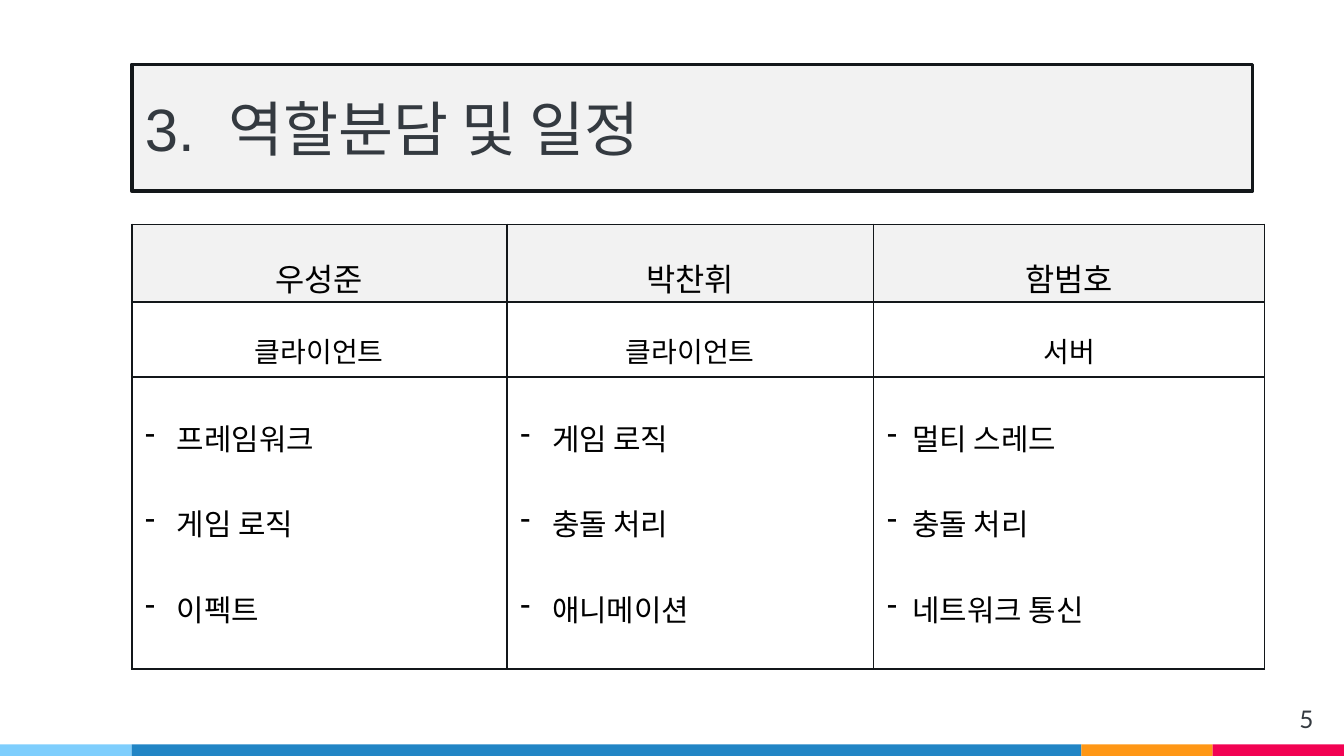
from lxml import etree
from pptx import Presentation
from pptx import util as u
from pptx.dml.color import RGBColor
from pptx.enum import shapes, text
from pptx.oxml.ns import qn

INK, EDGE, PALE = "343A40", "13171A", "F2F2F2"
LEFT = 2.49

# Heading, role, tasks and hanging indent of each member's column
TEAM = [
    ("우성준", "클라이언트", ["프레임워크", "게임 로직", "이펙트"], 0.6),
    ("박찬휘", "클라이언트", ["게임 로직", "충돌 처리", "애니메이션"], 0.6),
    ("함범호", "서버", ["멀티 스레드", "충돌 처리", "네트워크 통신"], 0.48),
]


def color(code):
    return RGBColor.from_string(code)


def paint(item, code):
    item.fill.solid()
    item.fill.fore_color.rgb = color(code)


def style(par, size, code="000000", name="Arial"):
    par.font.size = u.Pt(size)
    par.font.name = name
    par.font.color.rgb = color(code)


def place(shape, left, top, width, height):
    shape.left, shape.top = u.Cm(left), u.Cm(top)
    shape.width, shape.height = u.Cm(width), u.Cm(height)


def inset(frame, gap=0.25):
    frame.margin_left = frame.margin_right = u.Cm(gap)
    frame.margin_top = frame.margin_bottom = u.Cm(gap)
    frame.word_wrap = True


def add_title(slide):
    title = slide.shapes.title
    place(title, LEFT, 1.22, 21.18, 2.39)
    paint(title, PALE)
    title.line.color.rgb = color(EDGE)
    title.line.width = u.Pt(2)
    frame = title.text_frame
    inset(frame)
    frame.auto_size = text.MSO_AUTO_SIZE.NONE
    frame.vertical_anchor = text.MSO_ANCHOR.MIDDLE
    par = frame.paragraphs[0]
    par.alignment = text.PP_ALIGN.LEFT
    style(par, 32, INK)
    for part in ("3.", " ", "역할분담 및 일정"):
        run = par.add_run()
        run.text = part
        if part == " ":  # widen the gap after the number
            run.font._element.set("spc", "900")


def add_bars(slide):
    left = 0
    for width, code in ((LEFT, "7ECEFD"), (17.95, "2185C5"),
                        (2.48, "FF9715"), (2.48, "F20253")):
        bar = slide.shapes.add_shape(
            shapes.MSO_SHAPE.RECTANGLE,
            u.Cm(left), u.Cm(14.07), u.Cm(width), u.Cm(0.22))
        bar.shadow.inherit = False
        bar.line.fill.background()
        paint(bar, code)
        left += width


def add_number(slide):
    box = slide.shapes.add_textbox(
        u.Cm(23.55), u.Cm(13.06), u.Cm(1.52), u.Cm(0.86))
    inset(box.text_frame)
    par = box.text_frame.paragraphs[0]
    par.text = "5"
    par.alignment = text.PP_ALIGN.RIGHT
    style(par, 13, INK, "Lato")


def border(cell):
    props = cell._tc.get_or_add_tcPr()
    for spot, side in enumerate(("a:lnL", "a:lnR", "a:lnT", "a:lnB")):
        line = etree.Element(qn(side), w=str(u.Pt(1)))
        fill = etree.SubElement(line, qn("a:solidFill"))
        etree.SubElement(fill, qn("a:srgbClr"), val=EDGE)
        props.insert(spot, line)


def add_dash(par, hang):
    props = par._p.get_or_add_pPr()
    props.set("marL", str(u.Cm(hang)))
    props.set("indent", str(-u.Cm(hang)))
    tint = etree.SubElement(props, qn("a:buClr"))
    etree.SubElement(tint, qn("a:srgbClr"), val="000000")
    etree.SubElement(props, qn("a:buChar"), char="-")


def fill_label(cell, label, size):
    par = cell.text_frame.paragraphs[0]
    par.text = label
    par.alignment = text.PP_ALIGN.CENTER
    par.line_spacing = 1.5
    style(par, size)


def fill_tasks(cell, tasks, hang):
    frame = cell.text_frame
    for pos, task in enumerate(tasks):
        par = frame.add_paragraph() if pos else frame.paragraphs[0]
        par.text = task
        par.space_before = u.Pt(23 if pos else 0)
        add_dash(par, hang)
        style(par, 16)


def add_roles(slide):
    widths, heights = (7.09, 6.93, 7.39), (1.47, 1.42, 5.51)
    table = slide.shapes.add_table(
        3, 3, u.Cm(LEFT), u.Cm(4.24),
        u.Cm(sum(widths)), u.Cm(sum(heights))).table
    for col, width in zip(table.columns, widths):
        col.width = u.Cm(width)
    for row, height in zip(table.rows, heights):
        row.height = u.Cm(height)
    for col, (name, role, tasks, hang) in enumerate(TEAM):
        fill_label(table.cell(0, col), name, 17)
        fill_label(table.cell(1, col), role, 15)
        fill_tasks(table.cell(2, col), tasks, hang)
        for row in range(3):
            cell = table.cell(row, col)
            cell.vertical_anchor = text.MSO_ANCHOR.MIDDLE
            paint(cell, "FFFFFF" if row else PALE)
            border(cell)


def main():
    deck = Presentation()
    deck.slide_width, deck.slide_height = u.Cm(25.4), u.Cm(14.29)
    slide = deck.slides.add_slide(deck.slide_layouts[5])
    add_bars(slide)
    add_title(slide)
    add_number(slide)
    add_roles(slide)
    deck.save("out.pptx")


if __name__ == "__main__":
    main()
